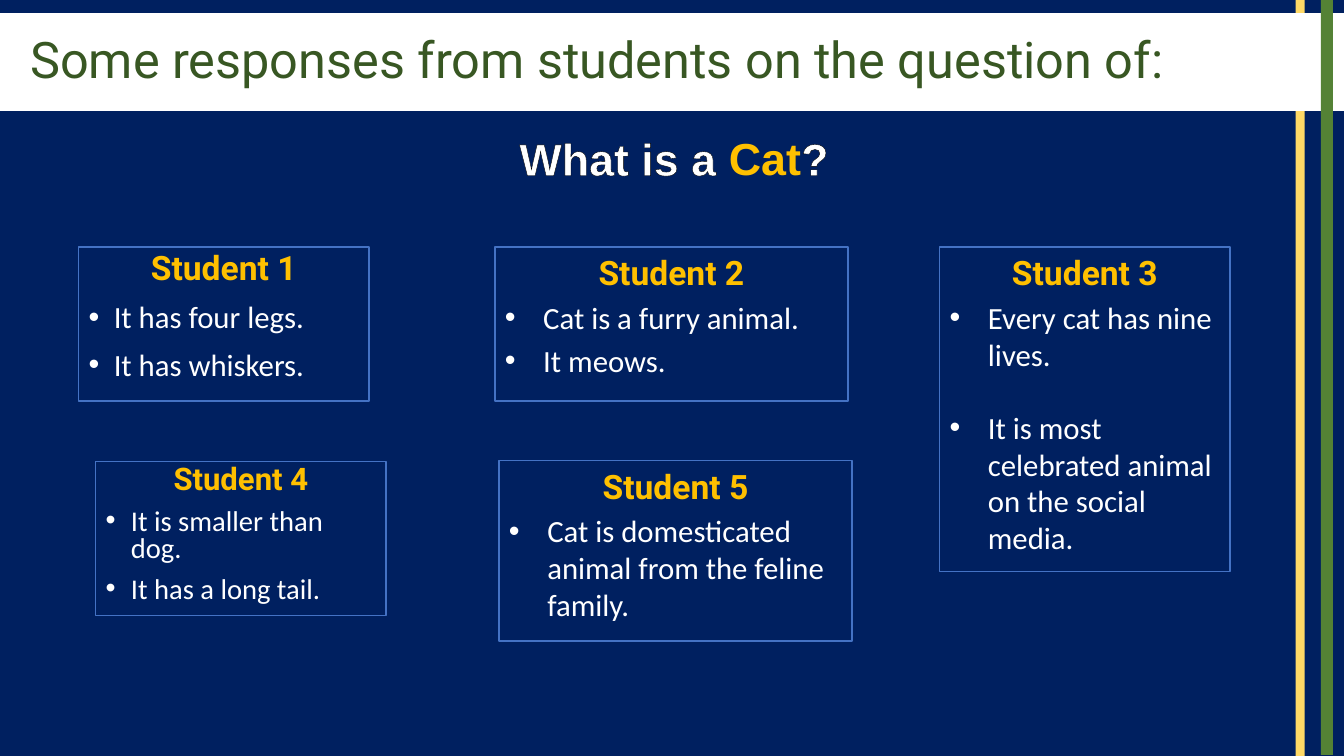
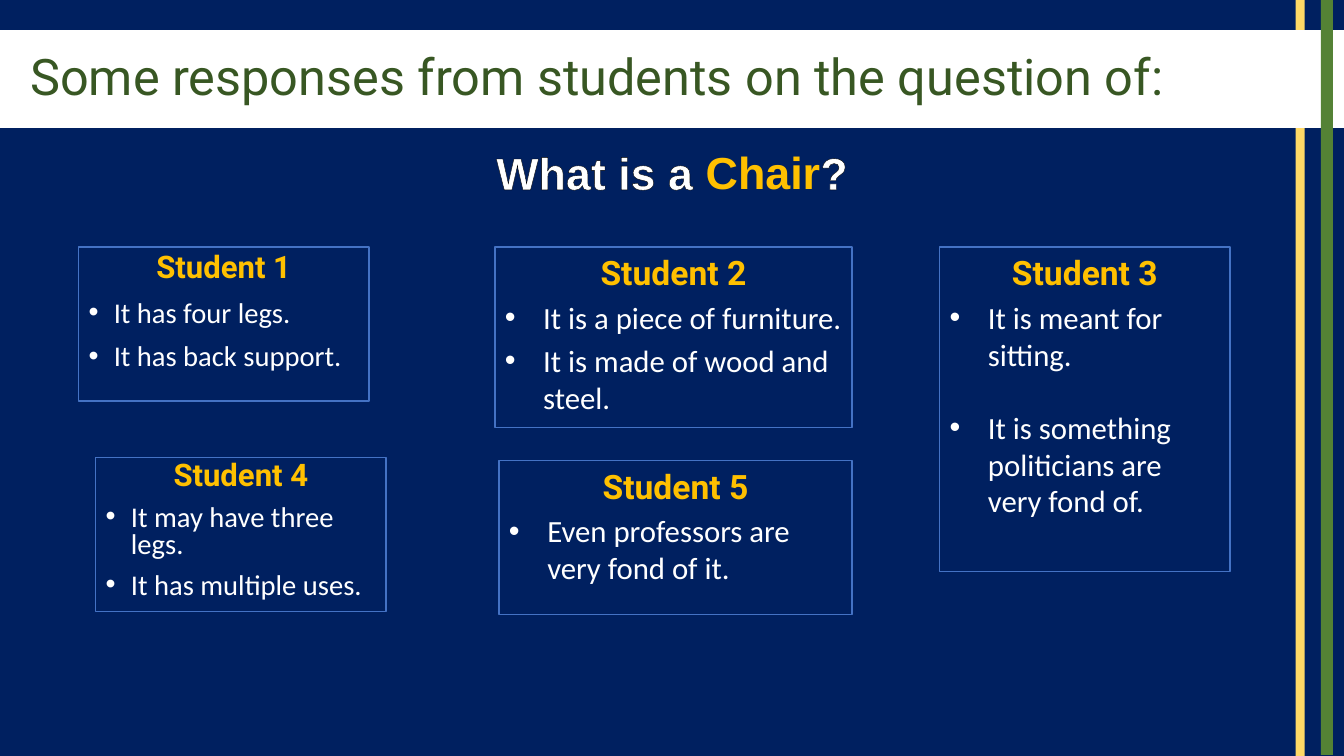
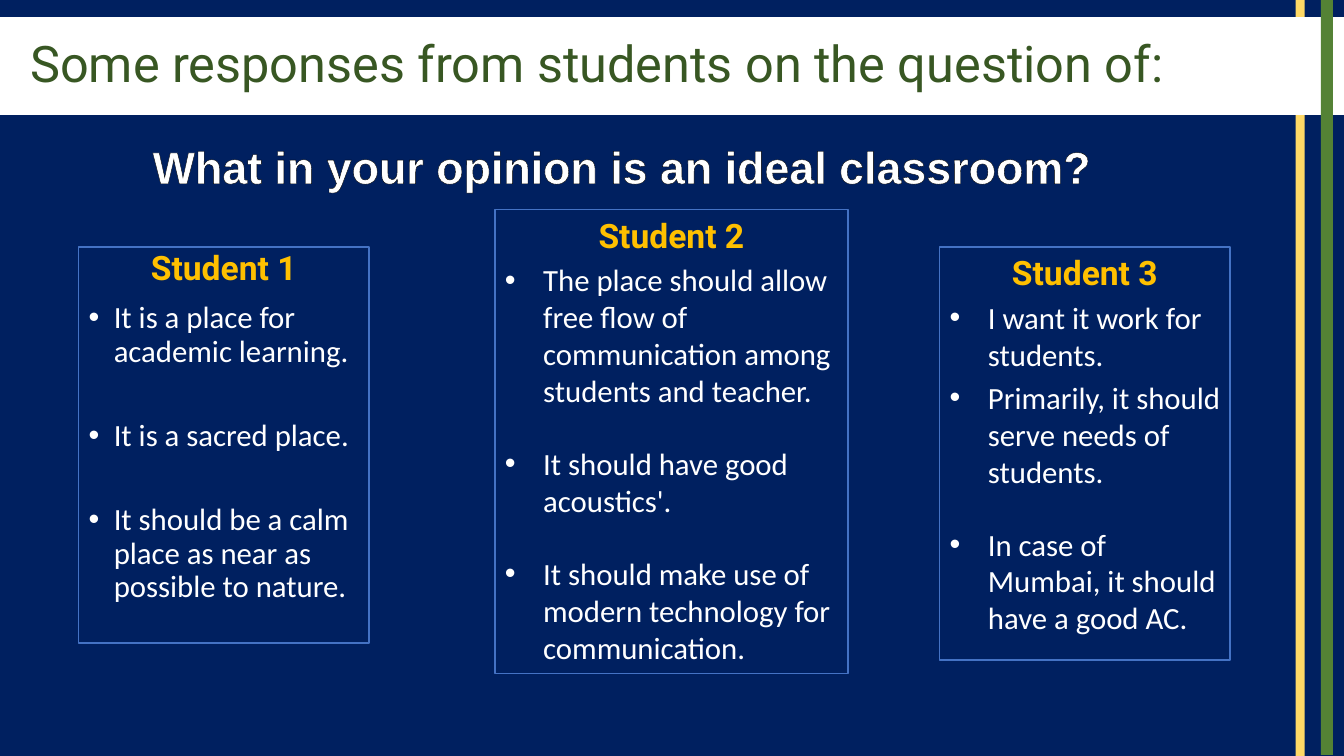
from dataclasses import dataclass

from pptx import Presentation
from pptx.dml.color import RGBColor
from pptx.enum.shapes import MSO_SHAPE as Shape
from pptx.enum.text import MSO_ANCHOR as Anchor, PP_ALIGN as Align
from pptx.oxml import parse_xml
from pptx.oxml.ns import nsdecls
from pptx.util import Inches, Pt

NAVY, WHITE, BLACK = "002060", "FFFFFF", "000000"
YELLOW, GREEN, FOREST = "FFD966", "548235", "385723"
GOLD, BLUE = "FFC000", "4472C4"
TITLE = "Some responses from students on the question of:"
WIDTH, HEIGHT = 13.33, 7.5


@dataclass(frozen=True)
class Style:
    """Text setting of a card; sizes and spaces in points, hang in inches."""
    head: float
    body: float
    lines: float
    space: float
    gap: float
    hang: float


LOOSE = Style(24, 22, 1, 4.4, 25.7, 0.38)
TIGHT = Style(24, 22, 0.9, 10, 36.5, 0.25)
SMALL = Style(22.2, 20.4, 0.9, 9.25, 36, 0.25)
DENSE = Style(22.2, 20.4, 0.8, 9.25, 36, 0.25)


@dataclass(frozen=True)
class Card:
    """One student's answers, in groups set apart by a wider gap."""
    num: int
    box: tuple[float, float, float, float]
    groups: list[list[str]]
    style: Style = LOOSE


@dataclass(frozen=True)
class Page:
    top: float
    box: tuple[float, float, float, float]
    ask: list[tuple[str, str]]
    cards: list[Card]


def topic(word: str) -> list[tuple[str, str]]:
    return [("What is a ", WHITE), (word, GOLD), ("?", WHITE)]


PAGES = [
    Page(0.13, (2.71, 1.25, 7.95, 0.64), topic("Cat"), [
        Card(1, (0.78, 2.45, 2.88, 1.53),
             [["It has four legs.", "It has whiskers."]], TIGHT),
        Card(2, (4.91, 2.45, 3.5, 1.53),
             [["Cat is a furry animal.", "It meows."]]),
        Card(3, (9.32, 2.45, 2.88, 3.22),
             [["Every cat has nine lives."],
              ["It is most celebrated animal on the social media."]]),
        Card(4, (0.95, 4.58, 2.88, 1.53),
             [["It is smaller than dog.", "It has a long tail."]], DENSE),
        Card(5, (4.95, 4.57, 3.5, 1.79),
             [["Cat is domesticated animal from the feline family."]]),
    ]),
    Page(0.3, (2.69, 1.39, 7.95, 0.64), topic("Chair"), [
        Card(1, (0.78, 2.45, 2.88, 1.53),
             [["It has four legs.", "It has back support."]], SMALL),
        Card(2, (4.91, 2.45, 3.54, 1.79),
             [["It is a piece of furniture.",
               "It is made of wood and steel."]]),
        Card(3, (9.32, 2.45, 2.88, 3.22),
             [["It is meant for sitting."],
              ["It is something politicians are very fond of."]]),
        Card(4, (0.95, 4.54, 2.88, 1.53),
             [["It may have three legs.", "It has multiple uses."]], DENSE),
        Card(5, (4.95, 4.57, 3.5, 1.53),
             [["Even professors are very fond of it."]]),
    ]),
    Page(0.17, (1.38, 1.33, 9.59, 0.64),
         [("What in your opinion is an ideal classroom?", WHITE)], [
        Card(1, (0.78, 2.45, 2.88, 3.93),
             [["It is a place for academic learning."],
              ["It is a sacred place."],
              ["It should be a calm place as near as possible to nature."]],
             TIGHT),
        Card(2, (4.91, 2.08, 3.5, 4.6),
             [["The place should allow free flow of communication "
               "among students and teacher."],
              ["It should have good acoustics'."],
              ["It should make use of modern technology "
               "for communication."]]),
        Card(3, (9.32, 2.45, 2.88, 4.1),
             [["I want it work for students.",
               "Primarily, it should serve needs of students."],
              ["In case of Mumbai, it should have a good AC."]]),
    ]),
]


def rgb(color: str) -> RGBColor:
    return RGBColor.from_string(color)


def rect(slide, box, fill: str | None = None, line: str | None = None):
    shape = slide.shapes.add_shape(Shape.RECTANGLE, *map(Inches, box))
    shape.shadow.inherit = False
    if fill:
        shape.fill.solid()
        shape.fill.fore_color.rgb = rgb(fill)
    else:
        shape.fill.background()
    if line:
        shape.line.color.rgb = rgb(line)
        shape.line.width = Pt(1)
    else:
        shape.line.fill.background()
    shape.text_frame.word_wrap = True
    return shape


def style(para, name: str, size: float, color: str, bold: bool = False):
    font = para.font
    font.name, font.size, font.bold = name, Pt(size), bold
    font.color.rgb = rgb(color)


def bullet(para, hang: float):
    props = para._p.get_or_add_pPr()
    props.set("marL", str(Inches(hang)))
    props.set("indent", str(-Inches(hang)))
    props.append(parse_xml(f'<a:buFont {nsdecls("a")} typeface="Arial"/>'))
    props.append(parse_xml(f'<a:buChar {nsdecls("a")} char="•"/>'))


def outline(run):
    """Give the letters of a run a black edge."""
    run._r.get_or_add_rPr().insert(0, parse_xml(
        f'<a:ln {nsdecls("a")} w="{Pt(1)}"><a:solidFill>'
        f'<a:srgbClr val="{BLACK}"/></a:solidFill></a:ln>'))


def banner(slide, top: float):
    frame = rect(slide, (0, top, WIDTH, 0.97), WHITE).text_frame
    frame.margin_left = Inches(0.3)
    frame.vertical_anchor = Anchor.MIDDLE
    para = frame.paragraphs[0]
    para.text = TITLE
    para.alignment = Align.LEFT
    para.line_spacing = 0.9
    style(para, "Roboto", 36, FOREST)


def question(slide, page: Page):
    box = slide.shapes.add_textbox(*map(Inches, page.box))
    box.text_frame.word_wrap = False
    para = box.text_frame.paragraphs[0]
    para.alignment = Align.CENTER
    style(para, "Arial", 32, WHITE, True)
    for text, color in page.ask:
        run = para.add_run()
        run.text = text
        run.font.color.rgb = rgb(color)
        outline(run)


def draw(slide, card: Card):
    look = card.style
    frame = rect(slide, card.box, line=BLUE).text_frame
    frame.vertical_anchor = Anchor.TOP
    head = frame.paragraphs[0]
    head.text = f"Student {card.num}"
    head.alignment = Align.CENTER
    head.line_spacing = look.lines
    style(head, "Roboto", look.head, GOLD, True)
    for i, group in enumerate(card.groups):
        for j, text in enumerate(group):
            para = frame.add_paragraph()
            para.text = text
            para.alignment = Align.LEFT
            para.line_spacing = look.lines
            para.space_before = Pt(look.gap if i and not j else look.space)
            bullet(para, look.hang)
            style(para, "Calibri", look.body, WHITE)


def build(deck, page: Page):
    slide = deck.slides.add_slide(deck.slide_layouts[6])
    slide.background.fill.solid()
    slide.background.fill.fore_color.rgb = rgb(NAVY)
    rect(slide, (12.85, -0.02, 0.09, 7.52), YELLOW)
    banner(slide, page.top)
    rect(slide, (13.1, -0.03, 0.12, 7.52), GREEN)
    question(slide, page)
    for card in page.cards:
        draw(slide, card)


def main():
    deck = Presentation()
    deck.slide_width, deck.slide_height = Inches(WIDTH), Inches(HEIGHT)
    for page in PAGES:
        build(deck, page)
    deck.save("out.pptx")


if __name__ == "__main__":
    main()
